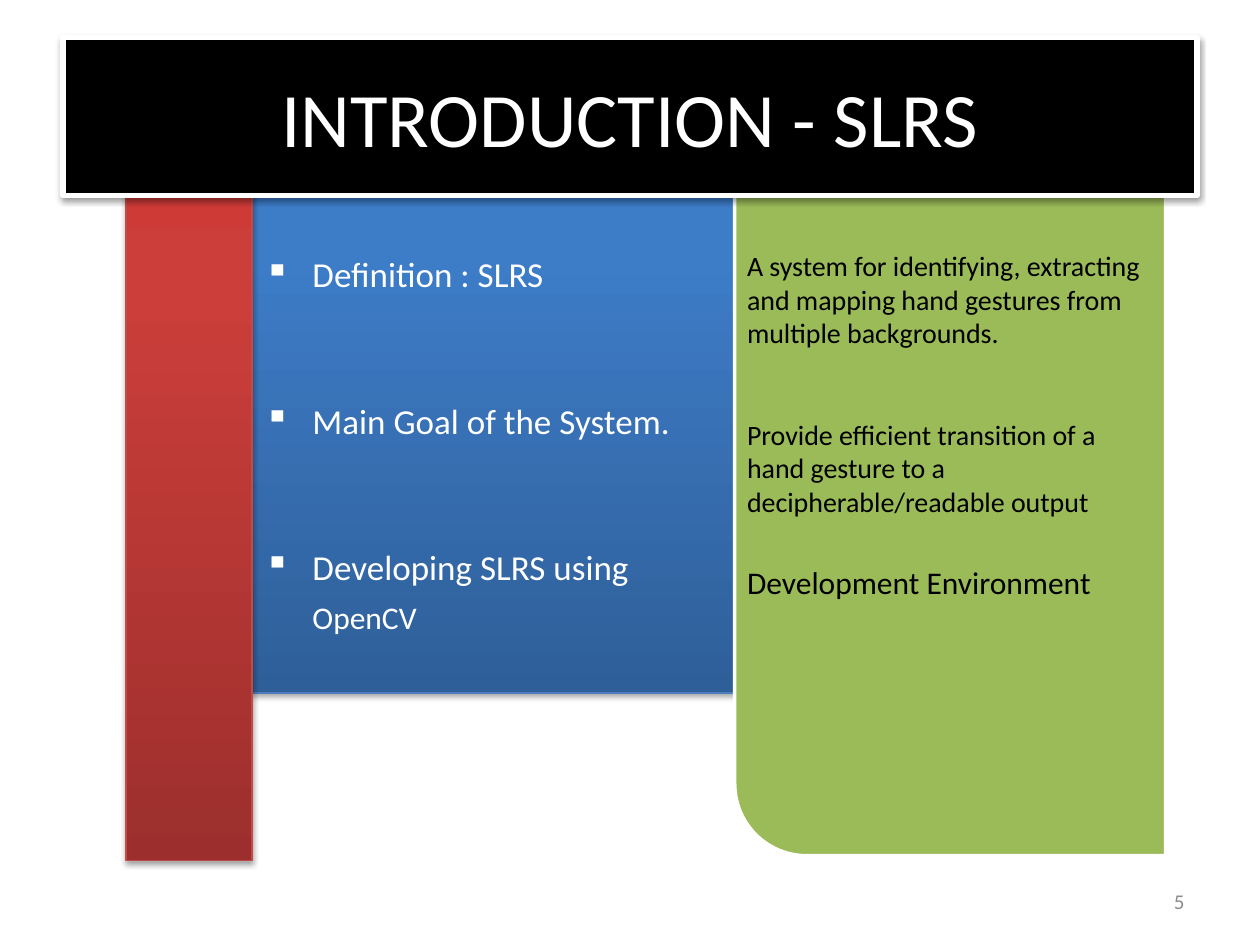
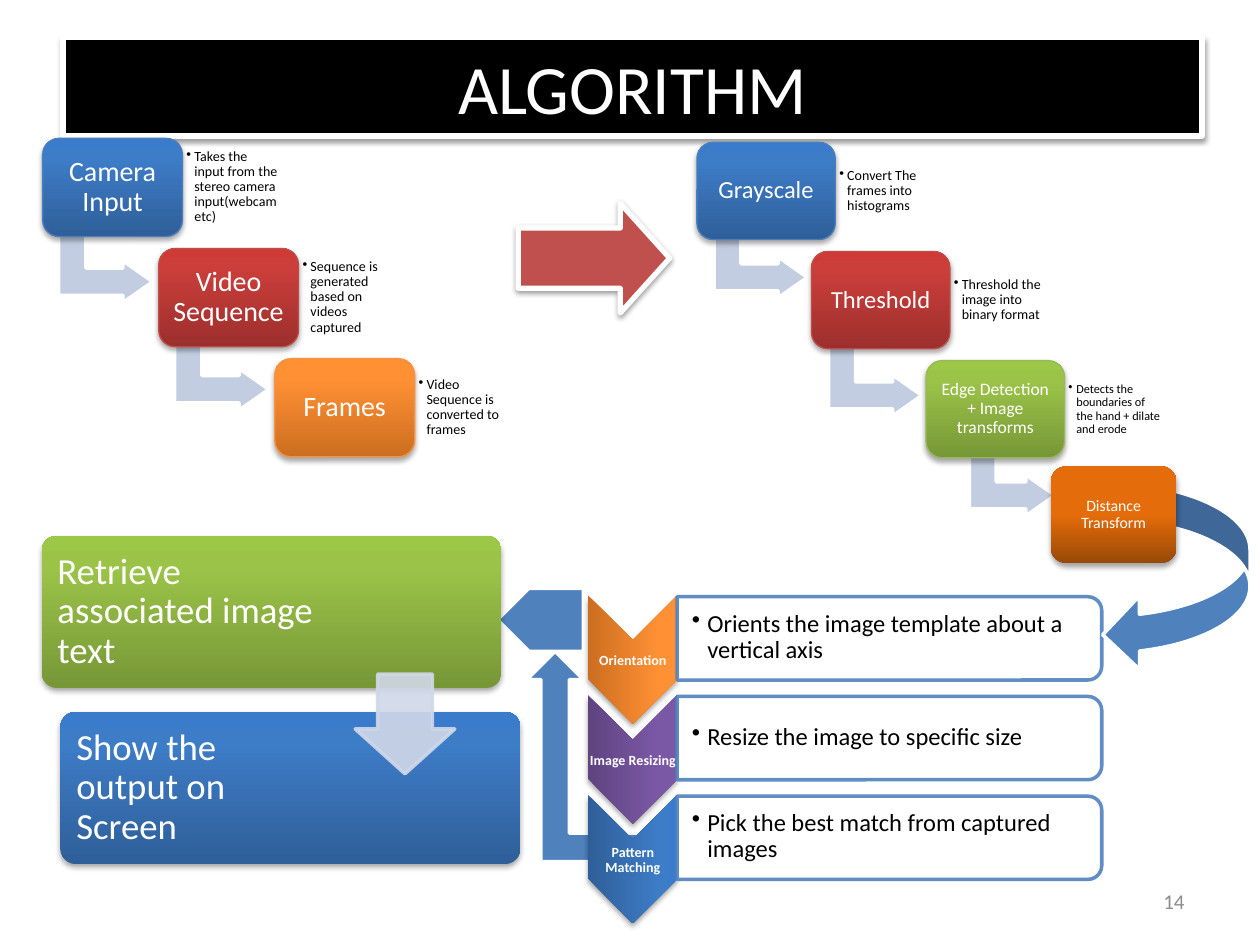
from dataclasses import dataclass
from typing import NamedTuple

from lxml import etree
from pptx import Presentation
from pptx.dml.color import RGBColor
from pptx.enum import shapes, text
from pptx.oxml.ns import qn
from pptx.util import Cm, Pt

FONT = "Calibri"
BLACK = RGBColor(0x00, 0x00, 0x00)
WHITE = RGBColor(0xFF, 0xFF, 0xFF)
GREY = RGBColor(0x8C, 0x8C, 0x8C)
STEEL = RGBColor(0x4F, 0x81, 0xBD)
LEAF = RGBColor(0x9B, 0xBB, 0x59)
BRICK = RGBColor(0xC0, 0x50, 0x4D)
MIST = RGBColor(0xC2, 0xCD, 0xE1)
PALE = RGBColor(0xD0, 0xD8, 0xE8)

SHAPE = shapes.MSO_SHAPE
ALIGN = text.PP_ALIGN
MIDDLE = text.MSO_ANCHOR.MIDDLE
BENT_ARROW = (0.328, 0.25, 0.358)
BLOCK_ARROW = (0.55, 0.45)


class Box(NamedTuple):
    """Left, top, width and height in centimetres."""
    x: float
    y: float
    w: float
    h: float

    def lengths(self) -> list[Cm]:
        return [Cm(v) for v in self]


class Gradient(NamedTuple):
    """Upward gradient: dark at the bottom, mid at a percentage, light on top."""
    dark: str
    mid: str
    light: str
    edge: RGBColor | None = None
    mid_at: int = 80


BLUE = Gradient("2F5F99", "3D7CC7", "3A7CCB", RGBColor(0x4B, 0x7E, 0xBC))
RED = Gradient("9C2F2D", "CB3E3A", "CE3B37", RGBColor(0xBF, 0x4C, 0x48))
ORANGE = Gradient("CC6E20", "FF9034", "FF9136", RGBColor(0xF6, 0x92, 0x40))
GREEN = Gradient("779737", "9BC348", "9DC746", RGBColor(0x98, 0xB9, 0x55))
PURPLE = Gradient("5F4480", "7B58A6", "7C57A8")
RUST = Gradient("984807", "E46C0A", "E46C0A", mid_at=50)


@dataclass
class Para:
    text: str
    size: float
    color: RGBColor = BLACK
    bold: bool = False
    align: ALIGN = ALIGN.LEFT
    spacing: float = 1.0
    before: float = 0
    bullet: str = ""
    indent: float = 0


@dataclass
class Step:
    label: str
    note: str
    gradient: Gradient
    size: float
    note_size: float = 8
    arrow_drop: float = 0


@dataclass
class Chain:
    """Descending staircase of boxes with notes; lengths in centimetres."""
    first: Box
    dx: float
    dy: float
    arrow_dx: float
    arrow_w: float
    arrow_h: float
    steps: list[Step]


@dataclass
class Match:
    label: str
    detail: str
    gradient: Gradient


def set_all(obj, values: dict) -> None:
    for name, value in values.items():
        setattr(obj, name, value)


def add_shadow(sp, alpha: int = 35, dist: int = 23000) -> None:
    sp.shadow.inherit = False
    effects = sp.element.spPr.find(qn("a:effectLst"))
    shadow = etree.SubElement(effects, qn("a:outerShdw"), blurRad="40000", dist=str(dist),
                              dir="5400000", rotWithShape="0")
    black = etree.SubElement(shadow, qn("a:srgbClr"), val="000000")
    etree.SubElement(black, qn("a:alpha"), val=str(alpha * 1000))


def fill_gradient(sp, gradient: Gradient) -> None:
    sp.fill.gradient()
    sp.fill.gradient_angle = 90
    stops = sp.element.spPr.find(".//" + qn("a:gsLst"))
    for stop in list(stops):
        stops.remove(stop)
    for at, color in ((0, gradient.dark), (gradient.mid_at, gradient.mid), (100, gradient.light)):
        stop = etree.SubElement(stops, qn("a:gs"), pos=str(at * 1000))
        etree.SubElement(stop, qn("a:srgbClr"), val=color)


def set_line(sp, color: RGBColor | None, width: float) -> None:
    if color is None:
        sp.line.fill.background()
    else:
        sp.line.color.rgb = color
        sp.line.width = Pt(width)


def add_flat(slide, kind, box: Box, fill: RGBColor, line: RGBColor = WHITE, width: float = 2,
             rotation: float = 0, flip: bool = False, adj: tuple = (), opacity: int = 100):
    """Add a shape with one plain fill and no shadow."""
    sp = slide.shapes.add_shape(kind, *box.lengths())
    sp.shadow.inherit = False
    sp.fill.solid()
    sp.fill.fore_color.rgb = fill
    set_line(sp, line, width)
    sp.rotation = rotation
    if flip:
        sp.element.spPr.get_or_add_xfrm().set("flipH", "1")
    for i, value in enumerate(adj):
        sp.adjustments[i] = value
    if opacity < 100:
        for color in sp.element.spPr.iter(qn("a:srgbClr")):
            etree.SubElement(color, qn("a:alpha"), val=str(opacity * 1000))
    return sp


def add_glossy(slide, kind, box: Box, gradient: Gradient, rotation: float = 0, adj: tuple = ()):
    """Add a shape with a gradient and a soft shadow."""
    sp = slide.shapes.add_shape(kind, *box.lengths())
    fill_gradient(sp, gradient)
    set_line(sp, gradient.edge, 0.75)
    add_shadow(sp)
    sp.rotation = rotation
    for i, value in enumerate(adj):
        sp.adjustments[i] = value
    return sp


def write(sp, paras: list[Para], margins: tuple = (0.25, 0.13, 0.25, 0.13),
          anchor=MIDDLE, wrap: bool = True) -> None:
    """Fill a text frame; margins run left, top, right, bottom in centimetres."""
    tf = sp.text_frame
    sides = ("margin_left", "margin_top", "margin_right", "margin_bottom")
    set_all(tf, dict(zip(sides, map(Cm, margins)), word_wrap=wrap, vertical_anchor=anchor))
    for i, para in enumerate(paras):
        p = tf.add_paragraph() if i else tf.paragraphs[0]
        set_all(p, dict(alignment=para.align, line_spacing=para.spacing,
                        space_before=Pt(para.before)))
        r = p.add_run()
        r.text = para.text
        set_all(r.font, dict(name=FONT, size=Pt(para.size), bold=para.bold))
        r.font.color.rgb = para.color
        pPr = p._p.get_or_add_pPr()
        if para.indent:
            pPr.set("marL", str(Cm(para.indent)))
            pPr.set("indent", str(-Cm(para.indent) if para.bullet else 0))
        if para.bullet:
            etree.SubElement(pPr, qn("a:buChar"), char=para.bullet)


def add_text(slide, box: Box, para: Para, **frame) -> None:
    write(slide.shapes.add_textbox(*box.lengths()), [para], **frame)


def add_title(slide, title: str, box: Box, size: float) -> None:
    """Format the title as a black band in front of what is already there."""
    sp = slide.shapes.title
    set_all(sp, dict(zip(("left", "top", "width", "height"), box.lengths())))
    sp.fill.solid()
    sp.fill.fore_color.rgb = BLACK
    set_line(sp, WHITE, 3)
    add_shadow(sp, 38, 20000)
    write(sp, [Para(title, size, WHITE, align=ALIGN.CENTER)])
    sp.element.getparent().append(sp.element)


def add_number(slide, number: int) -> None:
    add_text(slide, Box(18.21, 17.65, 5.92, 1.02), Para(str(number), 12, GREY, align=ALIGN.RIGHT))


def add_chain(slide, chain: Chain) -> None:
    first = chain.first
    for i, step in enumerate(chain.steps):
        box = first._replace(x=first.x + i * chain.dx, y=first.y + i * chain.dy)
        if step.arrow_drop:
            arrow = Box(box.x + chain.arrow_dx, box.y + step.arrow_drop,
                        chain.arrow_w, chain.arrow_h)
            add_flat(slide, SHAPE.BENT_UP_ARROW, arrow, MIST, rotation=90, adj=BENT_ARROW)
        sp = add_glossy(slide, SHAPE.ROUNDED_RECTANGLE, box, step.gradient)
        margin = 0.15 if step.size > 10 else 0.1
        write(sp, [Para(step.label, step.size, WHITE, align=ALIGN.CENTER, spacing=0.9)],
              (margin,) * 4)
        add_text(slide, Box(box.x + box.w, box.y + 0.19, 2.05, 1.59),
                 Para(step.note, step.note_size, spacing=0.9, bullet="•", indent=0.16),
                 margins=(0.08,) * 4)


def add_matches(slide, matches: list[Match]) -> None:
    for i, match in enumerate(matches):
        dy = i * 2.01
        add_glossy(slide, SHAPE.CHEVRON, Box(11.46, 12.4 + dy, 2.59, 1.8), match.gradient._replace(edge=None),
                   rotation=90)
        add_text(slide, Box(11.86, 12.93 + dy, 1.8, 0.79),
                 Para(match.label, 8, WHITE, bold=True, align=ALIGN.CENTER, spacing=0.9),
                 margins=(0,) * 4)
        add_flat(slide, SHAPE.ROUND_2_SAME_RECTANGLE, Box(17.09, 8.59 + dy, 1.68, 8.56),
                 WHITE, STEEL, rotation=90, opacity=90)
        add_text(slide, Box(13.67, 12.09 + dy, 8.48, 1.52),
                 Para(match.detail, 14, spacing=0.9, bullet="•", indent=0.31),
                 margins=(0.28, 0.03, 0.03, 0.03))


def build_introduction(slide) -> None:
    topics = add_glossy(slide, SHAPE.RECTANGLE, Box(5.08, 2.97, 13.54, 11), BLUE)
    style = dict(color=WHITE, indent=0.97)
    names = ("Definition : SLRS", "Main Goal of the System.", "Developing SLRS using")
    paras = [Para(name, 20, bullet="▪", before=59.6 if i else 0, **style)
             for i, name in enumerate(names)]
    paras.append(Para("OpenCV", 18, before=6, **style))
    write(topics, paras, (0.25, 2.13, 0.25, 0.13), text.MSO_ANCHOR.TOP)
    add_flat(slide, SHAPE.ROUND_1_RECTANGLE, Box(14.81, 3.28, 8.69, 13.97), LEAF, rotation=180)
    add_glossy(slide, SHAPE.RECTANGLE, Box(2.54, 3.18, 2.54, 14.17), RED)
    add_title(slide, "INTRODUCTION - SLRS", Box(1.27, 0.76, 22.86, 3.18), 44)
    add_number(slide, 5)
    answers = (
        (Box(14.81, 4.88, 8.69, 2.31), 16, True,
         "A system for identifying, extracting and mapping hand gestures from multiple backgrounds."),
        (Box(14.81, 8.28, 7.95, 2.31), 16, True,
         "Provide efficient transition of a hand gesture to a decipherable/readable output"),
        (Box(14.81, 11.23, 7.52, 1.02), 18, False, "Development Environment"),
    )
    for box, size, wrap, words in answers:
        add_text(slide, box, Para(words, size), anchor=text.MSO_ANCHOR.TOP, wrap=wrap)


def build_algorithm(slide) -> None:
    add_title(slide, "ALGORITHM", Box(1.27, 0.76, 22.96, 1.98), 39.6)
    add_flat(slide, SHAPE.PENTAGON, Box(10.03, 11.86, 1.73, 1.27), STEEL, flip=True)
    add_flat(slide, SHAPE.BENT_UP_ARROW, Box(10.62, 13.13, 2.29, 4.24), STEEL, flip=True)
    add_matches(slide, [
        Match("Orientation", "Orients the image template about a vertical axis", ORANGE),
        Match("Image Resizing", "Resize the image to specific size", PURPLE),
        Match("Pattern Matching", "Pick the best match from captured images", BLUE),
    ])
    add_flat(slide, SHAPE.CURVED_LEFT_ARROW, Box(22.23, 9.73, 2.97, 3.81), STEEL)
    add_flat(slide, SHAPE.BENT_UP_ARROW, Box(19.58, 8.71, 1.65, 1.73), MIST, rotation=90,
             adj=BENT_ARROW)
    add_number(slide, 14)

    add_chain(slide, Chain(Box(0.86, 2.79, 2.82, 1.98), 2.34, 2.22, 0.43, 1.68, 1.9, [
        Step("Camera Input", "Takes the input from the stereo camera input(webcam etc)",
             BLUE, 16, arrow_drop=1.52),
        Step("Video Sequence", "Sequence is generated based on videos captured",
             RED, 16, arrow_drop=1.47),
        Step("Frames", "Video Sequence is converted to frames", ORANGE, 16),
    ]))
    add_chain(slide, Chain(Box(14.05, 2.87, 2.79, 1.96), 2.31, 2.2, 0.46, 1.65, 1.88, [
        Step("Grayscale", "Convert The frames into histograms", BLUE, 14, arrow_drop=1.37),
        Step("Threshold", "Threshold the image into binary format", RED, 14, arrow_drop=1.55),
        Step("Edge Detection + Image transforms",
             "Detects the boundaries of the hand + dilate and erode", GREEN, 10, 7),
    ]))

    outputs = (
        ("Retrieve associated image text", Box(0.84, 10.8, 9.27, 3.07), GREEN, 3.23),
        ("Show the output on Screen", Box(1.22, 14.35, 9.27, 3.07), BLUE, 3.86),
    )
    for words, box, gradient, right in outputs:
        sp = add_glossy(slide, SHAPE.ROUNDED_RECTANGLE, box, gradient._replace(edge=None),
                        adj=(0.1,))
        write(sp, [Para(words, 21, WHITE, spacing=0.9)], (0.23, 0.23, right, 0.23))
    add_flat(slide, SHAPE.DOWN_ARROW, Box(7.16, 13.59, 2.01, 2.01), PALE, PALE,
             adj=BLOCK_ARROW, opacity=90)

    stage_arrow = add_flat(slide, SHAPE.RIGHT_ARROW, Box(10.45, 4.1, 3.05, 2.21), BRICK,
                           width=3, adj=BLOCK_ARROW)
    add_shadow(stage_arrow, 38, 20000)
    distance = add_glossy(slide, SHAPE.ROUNDED_RECTANGLE, Box(21.18, 9.4, 2.54, 1.96), RUST)
    write(distance, [Para("Distance Transform", 9, WHITE, align=ALIGN.CENTER, spacing=0.9)],
          (0.1,) * 4)


def main() -> None:
    prs = Presentation()
    prs.slide_width, prs.slide_height = Cm(25.4), Cm(19.05)
    title_only = prs.slide_layouts[5]
    for build in (build_introduction, build_algorithm):
        build(prs.slides.add_slide(title_only))
    prs.save("out.pptx")


if __name__ == "__main__":
    main()
